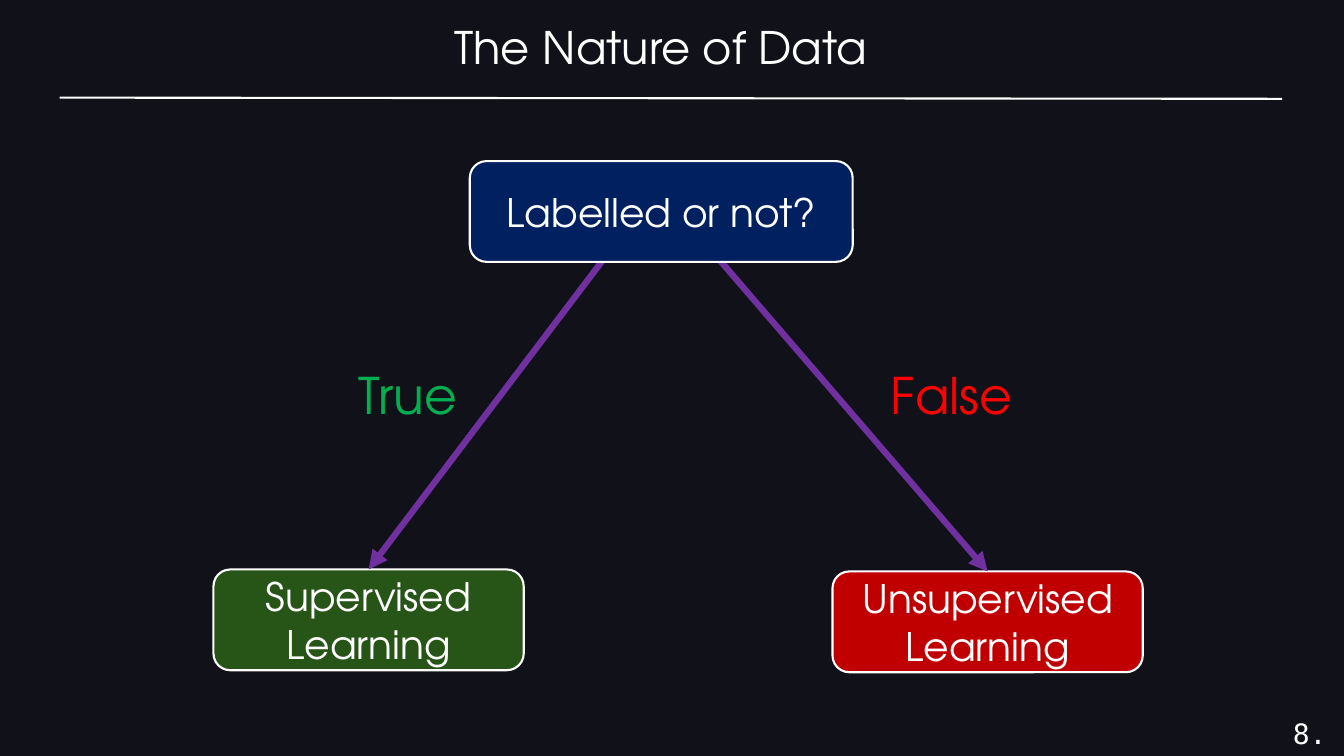
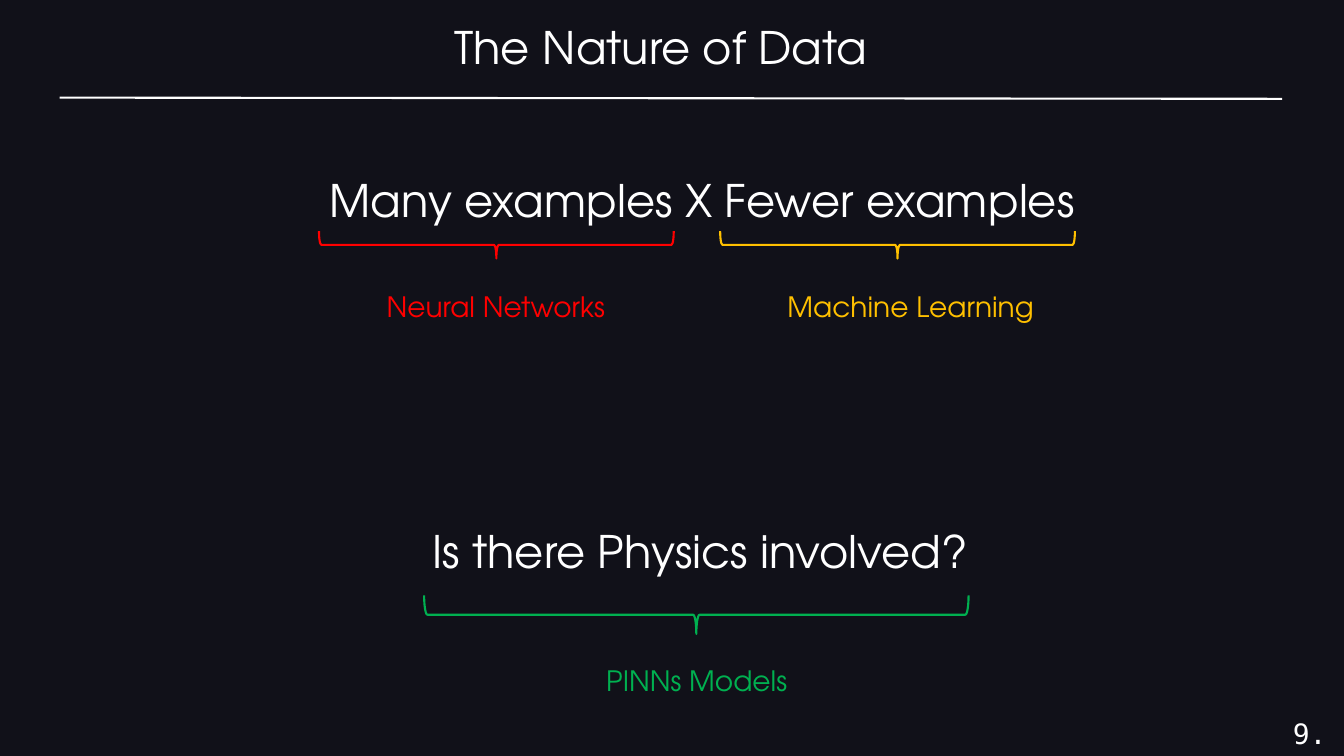
from lxml.etree import SubElement
from pptx import Presentation
from pptx.dml.color import RGBColor
from pptx.enum.shapes import MSO_CONNECTOR, MSO_SHAPE
from pptx.enum.text import MSO_ANCHOR, MSO_AUTO_SIZE, PP_ALIGN
from pptx.oxml.ns import qn
from pptx.util import Cm, Pt

BACKGROUND = RGBColor(0x11, 0x11, 0x19)
WHITE = RGBColor(0xFF, 0xFF, 0xFF)
NAVY = RGBColor(0x00, 0x20, 0x60)
PURPLE = RGBColor(0x70, 0x30, 0xA0)
GREEN = RGBColor(0x00, 0xB0, 0x50)
DARK_GREEN = RGBColor(0x27, 0x54, 0x17)
RED = RGBColor(0xFF, 0x00, 0x00)
DARK_RED = RGBColor(0xC0, 0x00, 0x00)
AMBER = RGBColor(0xFF, 0xC0, 0x00)

BODY_FONT = "TeX Gyre Adventor"
NUMBER_FONT = "DejaVu Sans Mono"


def write(shape, text, size, color=WHITE, align=PP_ALIGN.CENTER,
          anchor=MSO_ANCHOR.TOP, font=BODY_FONT):
    """Fill a shape with text, one paragraph per line, in one style."""
    frame = shape.text_frame
    frame.text = text
    frame.word_wrap = True
    frame.auto_size = MSO_AUTO_SIZE.NONE
    frame.vertical_anchor = anchor
    for paragraph in frame.paragraphs:
        paragraph.alignment = align
        style = {"name": font, "size": Pt(size)}
        for key, value in style.items():
            setattr(paragraph.font, key, value)
        paragraph.font.color.rgb = color


def add_line(slide, start, end, color, width):
    """Draw a straight connector without a shadow."""
    line = slide.shapes.add_connector(
        MSO_CONNECTOR.STRAIGHT, *map(Cm, (*start, *end)))
    line.line.color.rgb = color
    line.line.width = Pt(width)
    SubElement(line._element.spPr, qn("a:effectLst"))
    return line


prs = Presentation()
prs.slide_width, prs.slide_height = Cm(33.87), Cm(19.05)
backdrop = prs.slide_master.background.fill
backdrop.solid()
backdrop.fore_color.rgb = BACKGROUND
title_only = prs.slide_layouts[5]

# Parts shared by both slides
slides = []
for number in (8, 9):
    slide = prs.slides.add_slide(title_only)
    title = slide.shapes.title
    title.left, title.top, title.width, title.height = map(
        Cm, (11.2, 0.38, 11.53, 1.63))
    write(title, "The Nature of Data", 32, align=PP_ALIGN.LEFT)
    page = slide.shapes.add_textbox(*map(Cm, (32.33, 17.93, 1.5, 1.12)))
    write(page, f"{number}.", 20, align=PP_ALIGN.LEFT, font=NUMBER_FONT)
    add_line(slide, (1.5, 2.46), (32.31, 2.49), WHITE, 1.5)
    slides.append(slide)
decision, data_size = slides

# Decision tree: the arrows start behind the question box
outcomes = [
    ("Supervised\nLearning", DARK_GREEN, (5.38, 14.35, 7.82), (15.37, 6.32)),
    ("Unsupervised\nLearning", DARK_RED, (20.98, 14.4, 7.82), (17.96, 6.35)),
    ("Labelled or not?", NAVY, (11.84, 4.06, 9.65), None),
]
for text, fill, (left, top, width), arrow_start in outcomes:
    box = decision.shapes.add_shape(
        MSO_SHAPE.ROUNDED_RECTANGLE, Cm(left), Cm(top), Cm(width), Cm(2.54))
    box.shadow.inherit = False
    box.fill.solid()
    box.fill.fore_color.rgb = fill
    box.line.color.rgb = WHITE
    box.line.width = Pt(1.5)
    write(box, text, 28, anchor=MSO_ANCHOR.MIDDLE)
    if arrow_start:
        arrow = add_line(decision, arrow_start, (left, top), PURPLE, 4.5)
        arrow.end_connect(box, 0)
        SubElement(arrow.line._get_or_add_ln(), qn("a:tailEnd"), type="triangle")

for answer, color, left, width, align in [
    ("True", GREEN, 8.48, 3.61, PP_ALIGN.CENTER),
    ("False", RED, 22.2, 3.78, PP_ALIGN.LEFT),
]:
    branch = decision.shapes.add_textbox(Cm(left), Cm(9.04), Cm(width), Cm(1.8))
    write(branch, answer, 36, color, align)

# Questions, each with braces that point to the matching models
for question, left, top in [
    ("Many examples X Fewer examples", 5.38, 4.22),
    ("Is there Physics involved?", 5.33, 13.08),
]:
    heading = data_size.shapes.add_textbox(Cm(left), Cm(top), Cm(24.64), Cm(1.63))
    write(heading, question, 32)

for model, color, (center, middle), span, depth, label_center, label_top in [
    ("Neural Networks", RED, (12.51, 6.17), 8.94, 0.69, 12.5, 7.16),
    ("Machine Learning", AMBER, (22.62, 6.17), 8.94, 0.69, 22.95, 7.16),
    ("PINNs Models", GREEN, (17.55, 15.49), 13.72, 0.97, 17.56, 16.59),
]:
    brace = data_size.shapes.add_shape(
        MSO_SHAPE.LEFT_BRACE, Cm(center - depth / 2), Cm(middle - span / 2),
        Cm(depth), Cm(span))
    brace.rotation = 270
    brace.shadow.inherit = False
    brace.fill.background()
    brace.line.color.rgb = color
    brace.line.width = Pt(1.5)
    label = data_size.shapes.add_textbox(
        Cm(label_center - 4.13), Cm(label_top), Cm(8.26), Cm(1.12))
    write(label, model, 20, color)

prs.save("out.pptx")
